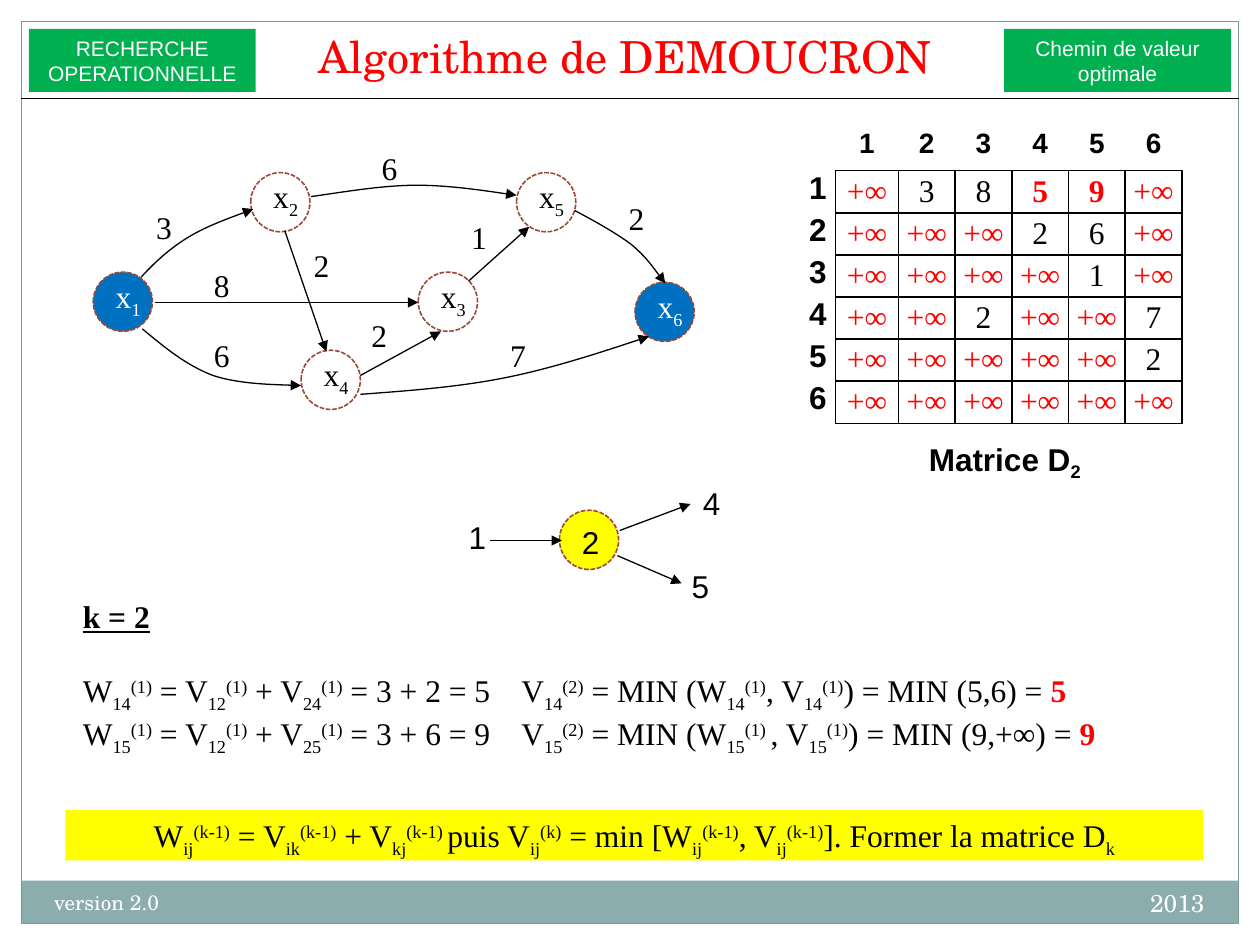
import dataclasses

import pptx
import pptx.dml.color
import pptx.enum.dml
import pptx.enum.shapes
import pptx.enum.text
import pptx.oxml
import pptx.oxml.ns
import pptx.oxml.xmlchemy
import pptx.util

Inches = pptx.util.Inches
Pt = pptx.util.Pt
qn = pptx.oxml.ns.qn
SHAPE = pptx.enum.shapes.MSO_SHAPE
ALIGN = pptx.enum.text.PP_ALIGN
ANCHOR = pptx.enum.text.MSO_ANCHOR


@dataclasses.dataclass(frozen=True)
class Theme:
    ink: str = "000000"
    white: str = "FFFFFF"
    hot: str = "FF0000"
    green: str = "00B050"
    yellow: str = "FFFF00"
    blue: str = "0070C0"
    ring: str = "9B4936"
    footer: str = "8CADAE"
    frame: str = "7C999A"
    serif: str = "Times New Roman"
    sans: str = "Arial"
    display: str = "TeX Gyre Schola"
    title: float = 25.2
    body: float = 18
    heading: float = 16
    year: float = 14
    small: float = 12


THEME = Theme()


def rgb(color):
    return pptx.dml.color.RGBColor.from_string(color)


def add_xml(parent, tag, **attributes):
    child = parent.makeelement(qn(tag), attributes)
    parent.append(child)
    return child


def write(frame, lines, font=THEME.serif, size=THEME.body, color=THEME.ink,
          align=ALIGN.LEFT, bold=False, anchor=ANCHOR.TOP):
    frame.word_wrap = True
    frame.vertical_anchor = anchor
    for index, line in enumerate(lines):
        paragraph = frame.paragraphs[0] if index == 0 else frame.add_paragraph()
        paragraph.alignment = align
        for piece in line.split("|"):
            mark = piece[0] if piece[0] in "_^*" else ""
            run = paragraph.add_run()
            run.text = piece[len(mark):]
            run.font.name, run.font.size = font, Pt(size)
            run.font.bold = bold or mark == "*"
            run.font.color.rgb = rgb(THEME.hot if mark == "*" else color)
            if mark in ("_", "^"):
                run.font._element.set("baseline", "-25000" if mark == "_" else "30000")


def add_text(shapes, box, lines, **style):
    label = shapes.add_textbox(*map(Inches, box))
    write(label.text_frame, lines, **style)
    return label


def add_block(shapes, kind, box, fill=None, line=None, width=0.75):
    block = shapes.add_shape(kind, *map(Inches, box))
    block.shadow.inherit = False
    if fill:
        block.fill.solid()
        block.fill.fore_color.rgb = rgb(fill)
    else:
        block.fill.background()
    if line:
        block.line.color.rgb = rgb(line)
        block.line.width = Pt(width)
    else:
        block.line.fill.background()
    return block


def ink_line(stroke, arrow=True):
    stroke.line.color.rgb = rgb(THEME.ink)
    stroke.line.width = Pt(0.75)
    properties = stroke._element.spPr
    if arrow:
        add_xml(properties.find(qn("a:ln")), "a:tailEnd", type="triangle")
    if properties.find(qn("a:effectLst")) is None:
        add_xml(properties, "a:effectLst")


def add_line(shapes, x1, y1, x2, y2, arrow=True):
    straight = pptx.enum.shapes.MSO_CONNECTOR.STRAIGHT
    ink_line(shapes.add_connector(straight, *map(Inches, (x1, y1, x2, y2))), arrow)


def add_curve(shapes, left, top, points):
    start, *rest = [(Inches(left + x), Inches(top + y)) for x, y in points + points[-1:]]
    builder = shapes.build_freeform(*start)
    builder.add_line_segments(rest, close=False)
    curve = builder.convert_to_shape()
    curve.shadow.inherit = False
    curve.fill.background()
    outline = curve._element.find(".//" + qn("a:path"))
    segments = outline.findall(qn("a:lnTo"))
    for first in range(0, len(segments), 3):
        bezier = add_xml(outline, "a:cubicBezTo")
        for segment in segments[first:first + 3]:
            bezier.append(segment[0])
            outline.remove(segment)
    ink_line(curve)


def add_node(shapes, left, top, fill=None):
    node = add_block(shapes, SHAPE.OVAL, (left, top, 0.47, 0.47), fill, THEME.ring, 0.9)
    node.line.dash_style = pptx.enum.dml.MSO_LINE.SQUARE_DOT


def page_frame(shapes, left, top, width, height):
    add_block(shapes, SHAPE.RECTANGLE, (left, top + height - 0.34, width, 0.34), THEME.footer)
    add_block(shapes, SHAPE.RECTANGLE, (left, top, width, height), line=THEME.frame)
    footer_style = dict(font=THEME.display, color=THEME.white)
    add_text(shapes, (left + 6.16, top + 6.83, 3.33, 0.4), ["2013"],
             size=THEME.year, align=ALIGN.RIGHT, **footer_style)
    add_text(shapes, (left + 0.16, top + 6.84, 3.92, 0.4), ["version 2.0"],
             size=THEME.small, **footer_style)


def header(shapes, left, top, width):
    add_text(shapes, (left + 1.86, top + 0.08, 5.86, 0.45), ["Algorithme de DEMOUCRON"],
             font=THEME.display, size=THEME.title, color=THEME.hot,
             align=ALIGN.CENTER, anchor=ANCHOR.BOTTOM)
    tags = [(0.06, ["RECHERCHE", "OPERATIONNELLE"]),
            (width - 1.86, ["Chemin de valeur", "optimale"])]
    for x, lines in tags:
        tag = add_block(shapes, SHAPE.RECTANGLE, (left + x, top + 0.06, 1.8, 0.5), THEME.green)
        write(tag.text_frame, lines, font=THEME.sans, size=THEME.small,
              color=THEME.white, align=ALIGN.CENTER, anchor=ANCHOR.MIDDLE)
    add_line(shapes, left, top + 0.61, left + width, top + 0.61, arrow=False)


def weighted_graph(shapes, left, top):
    nodes = [("1", 0, 1.03), ("2", 1.25, 0.24), ("3", 2.58, 1.03),
             ("4", 1.65, 1.65), ("5", 3.36, 0.24), ("6", 4.3, 1.11)]
    weights = [("3", 0.4, 0.47), ("1", 2.9, 0.55), ("6", 0.86, 1.49),
               ("8", 0.86, 0.93), ("6", 2.19, 0), ("2", 1.65, 0.77),
               ("2", 2.11, 1.33), ("7", 3.21, 1.49), ("2", 4.15, 0.4)]
    straight_arcs = [(0.49, 1.27, 2.58, 1.27), (1.52, 0.7, 1.85, 1.66),
                     (2.98, 1.1, 3.46, 0.67), (2.12, 1.85, 2.76, 1.5)]
    curved_arcs = [
        [(0.38, 1.07), (0.49, 0.95), (0.61, 0.84), (0.76, 0.75), (0.91, 0.66), (1.27, 0.53)],
        [(0.39, 1.48), (0.57, 1.63), (0.74, 1.77), (0.95, 1.85), (1.16, 1.92), (1.65, 1.93)],
        [(1.73, 0.43), (2.01, 0.39), (2.3, 0.34), (2.57, 0.34), (2.84, 0.34), (3.36, 0.42)],
        [(2.12, 2), (2.53, 1.97), (2.93, 1.94), (3.31, 1.86), (3.7, 1.78), (4.41, 1.54)],
        [(3.82, 0.54), (3.99, 0.63), (4.15, 0.72), (4.27, 0.81), (4.39, 0.91), (4.54, 1.12)],
    ]
    for number, x, y in nodes:
        is_end = number in "16"
        add_node(shapes, left + x, top + y, THEME.blue if is_end else None)
        add_text(shapes, (left + x + 0.08, top + y - 0.01, 0.55, 0.4), ["x|_" + number],
                 color=THEME.white if is_end else THEME.ink)
    for x1, y1, x2, y2 in straight_arcs:
        add_line(shapes, left + x1, top + y1, left + x2, top + y2)
    for points in curved_arcs:
        add_curve(shapes, left, top, points)
    for weight, x, y in weights:
        add_text(shapes, (left + x, top + y, 0.47, 0.4), [weight])


def pivot_diagram(shapes, left, top):
    add_node(shapes, left + 0.82, top + 0.26, THEME.yellow)
    for vertex, x, y in [("2", 0.9, 0.31), ("1", 0, 0.27), ("5", 1.77, 0.66), ("4", 1.86, 0)]:
        add_text(shapes, (left + x, top + y, 0.38, 0.4), [vertex], font=THEME.sans)
    for x1, y1, x2, y2 in [(0.27, 0.5, 0.84, 0.5), (1.3, 0.42, 1.86, 0.21),
                           (1.28, 0.62, 1.79, 0.84)]:
        add_line(shapes, left + x1, top + y1, left + x2, top + y2)


def border_cell(cell):
    for side in ("a:lnL", "a:lnR", "a:lnT", "a:lnB"):
        edge = add_xml(cell._tc.get_or_add_tcPr(), side, w=str(Pt(1)))
        add_xml(add_xml(edge, "a:solidFill"), "a:srgbClr", val=THEME.ink)


def distance_matrix(shapes, left, top, width, height):
    values = ["∞ 3 8 *5 *9 ∞", "∞ ∞ ∞ 2 6 ∞", "∞ ∞ ∞ ∞ 1 ∞",
              "∞ ∞ 2 ∞ ∞ 7", "∞ ∞ ∞ ∞ ∞ 2", "∞ ∞ ∞ ∞ ∞ ∞"]
    holder = shapes.add_table(7, 7, *map(Inches, (left, top, width, height)))
    matrix = holder.table
    matrix.first_row = matrix.horz_banding = False
    holder._element.find(".//" + qn("a:tableStyleId")).text = "{2D5ABB26-0587-4C30-8999-92F81FD0307C}"
    for column, column_width in zip(matrix.columns, [0.78, 0.5] + [0.45] * 5):
        column.width = Inches(column_width)
    rows = [["", *"123456"]] + [[str(n), *row.split()] for n, row in enumerate(values, 1)]
    for r, row in enumerate(rows):
        matrix.rows[r].height = Inches(height / 7)
        for c, value in enumerate(row):
            cell = matrix.cell(r, c)
            inside = r > 0 and c > 0
            cell.margin_top = cell.margin_bottom = 0
            cell.margin_left = cell.margin_right = 0 if inside else Inches(0.07)
            if inside:
                border_cell(cell)
                cell.vertical_anchor = ANCHOR.MIDDLE
            cell.fill.background()
            if value:
                infinite = value == "∞"
                write(cell.text_frame, ["+∞" if infinite else value],
                      font=THEME.serif if inside else THEME.sans,
                      size=THEME.body if r else THEME.heading,
                      color=THEME.hot if infinite else THEME.ink, bold=not inside,
                      align=ALIGN.RIGHT if r and not c else ALIGN.CENTER)
    add_text(shapes, (left + 0.76, top + height + 0.08, 2.73, 0.4), ["Matrice D|_2"],
             font=THEME.sans, bold=True, align=ALIGN.CENTER)


def calculation(shapes, left, top, width, height):
    steps = add_text(shapes, (left, top, width, height), [
        "k = 2",
        "W|_14|^(1)| = V|_12|^(1)| + V|_24|^(1)| = 3 + 2 = 5\tV|_14|^(2)"
        "| = MIN (W|_14|^(1)|, V|_14|^(1)|) = MIN (5,6) = |*5",
        "W|_15|^(1)| = V|_12|^(1)| + V|_25|^(1)| = 3 + 6 = 9\tV|_15|^(2)"
        "| = MIN (W|_15|^(1) |, V|_15|^(1)|) = MIN (9,+∞) = |*9",
    ])
    heading, first, second = steps.text_frame.paragraphs
    heading.runs[0].font.bold = heading.runs[0].font.underline = True
    first.space_before = Pt(20.7)
    for equation in (first, second):
        stops = add_xml(equation._p.get_or_add_pPr(), "a:tabLst")
        add_xml(stops, "a:tab", pos=str(Inches(3.48)), algn="l")


def general_rule(shapes, *box):
    rule = add_block(shapes, SHAPE.RECTANGLE, box, THEME.yellow)
    write(rule.text_frame, [
        "W|_ij|^(k-1)| = V|_ik|^(k-1)| + V|_kj|^(k-1) |puis V|_ij|^(k)"
        "| = min [W|_ij|^(k-1)|, V|_ij|^(k-1)|]. Former la matrice D|_k"], align=ALIGN.CENTER)


def main():
    deck = pptx.Presentation()
    deck.slide_width, deck.slide_height = Inches(10), Inches(7.5)
    shapes = deck.slides.add_slide(deck.slide_layouts[6]).shapes
    page_frame(shapes, 0.17, 0.17, 9.66, 7.16)
    header(shapes, 0.17, 0.17, 9.66)
    calculation(shapes, 0.56, 4.69, 8.74, 1.31)
    pivot_diagram(shapes, 3.62, 3.79)
    general_rule(shapes, 0.52, 6.43, 9.03, 0.4)
    weighted_graph(shapes.add_group_shape().shapes, 0.74, 1.13)
    distance_matrix(shapes, 5.85, 1.02, 3.52, 2.34)
    deck.save("out.pptx")


if __name__ == "__main__":
    main()
